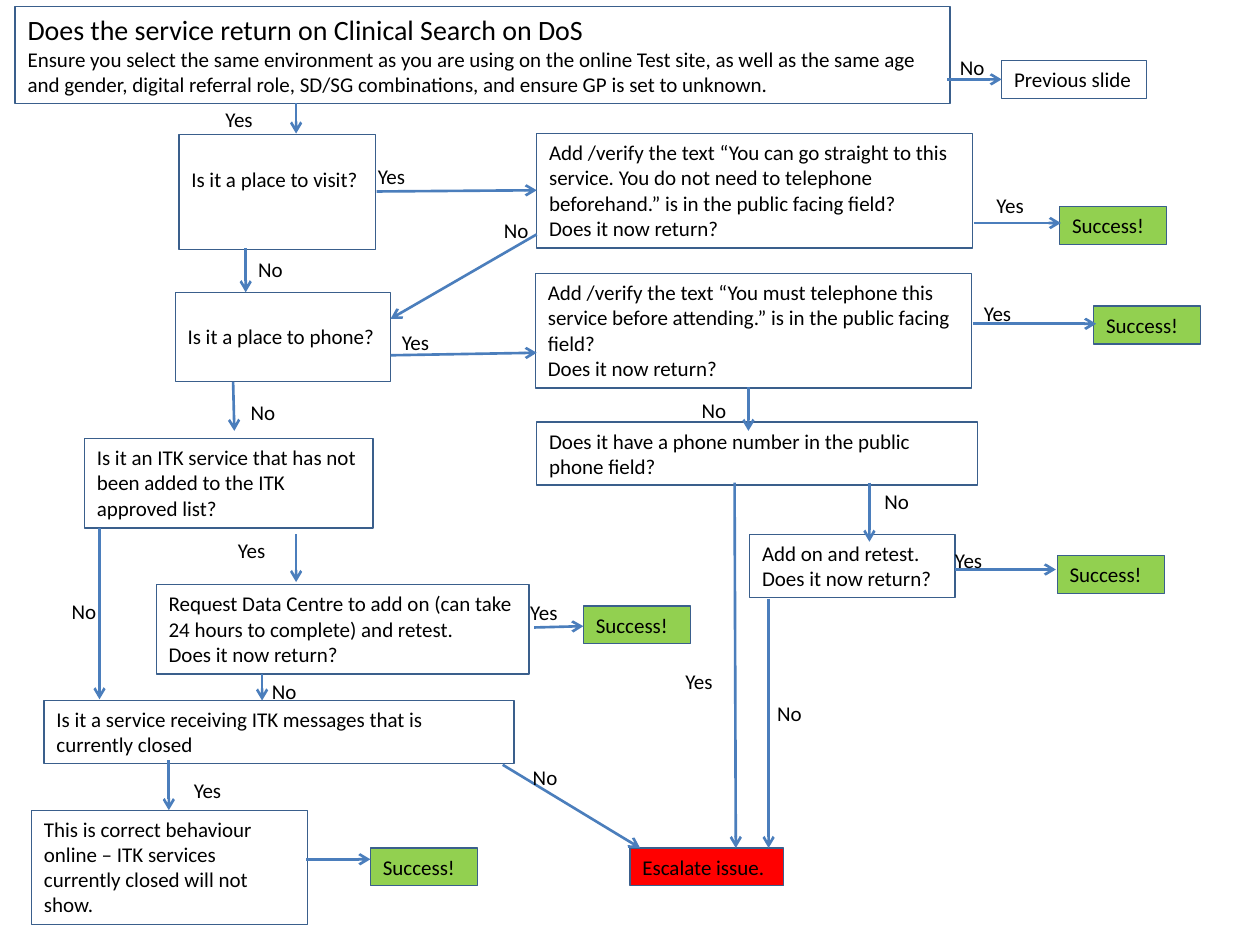
from lxml import etree
from pptx import Presentation
from pptx import util as u
from pptx.dml.color import RGBColor
from pptx.enum import shapes, text
from pptx.oxml.ns import qn

CM_PER_UNIT = 2.54
PAD, LINE = 0.1, 0.2
BORDER, ARROW, BLACK, GREEN, RED = '3A5F8C', '4B7EBC', '000000', '92D050', 'FF0000'
RETURN = 'Does it now return?'

TITLE = ['Does the service return on Clinical Search on DoS',
         'Ensure you select the same environment as you are using on the online Test site, '
         'as well as the same age and gender, digital referral role, SD/SG combinations, '
         'and ensure GP is set to unknown.']
QUESTIONS = [
    (0.12, 0.05, 7.42, 0.77, TITLE),
    (7.95, 0.48, 1.15, 0.3, ['Previous slide']),
    (4.26, 1.06, 3.46, 0.91, ['Add /verify the text “You can go straight to this service. You do not need '
                              'to telephone beforehand.” is in the public facing field?', RETURN]),
    (4.25, 2.17, 3.46, 0.91, ['Add /verify the text “You must telephone this service before attending.” '
                              'is in the public facing field?', RETURN]),
    (4.26, 3.35, 3.5, 0.5, ['Does it have a phone number in the public phone field?']),
    (5.95, 4.24, 1.63, 0.5, ['Add on and retest.', RETURN]),
    (0.67, 3.48, 2.29, 0.71, ['Is it an ITK service that has not been added to the ITK approved list?']),
    (1.24, 4.64, 2.96, 0.71, ['Request Data Centre to add on (can take 24 hours to complete) and retest.', RETURN]),
    (0.35, 5.56, 3.73, 0.5, ['Is it a service receiving ITK messages that is currently closed']),
    (0.25, 6.43, 2.19, 0.91, ['This is correct behaviour online – ITK services currently closed will not show.']),
]
PLACES = [
    (1.42, 1.07, 1.56, 0.91, ['Is it a place to visit?']),
    (1.39, 2.32, 1.71, 0.71, ['Is it a place to phone?']),
]
SUCCESSES = [(8.41, 1.64), (8.68, 2.43), (8.39, 4.41), (4.63, 4.81), (2.94, 6.73)]
ESCALATE = (5, 6.73, 1.22, 0.3, ['Escalate issue.'])
ARROWS = [
    (7.52, 0.63, 7.95, 0.63), (2.35, 0.82, 2.35, 1.06), (2.99, 1.52, 4.26, 1.51),
    (7.73, 1.77, 8.42, 1.77), (4.26, 1.86, 3.1, 2.53), (1.95, 1.97, 1.95, 2.32),
    (7.72, 2.57, 8.7, 2.57), (3.1, 2.82, 4.26, 2.8), (1.85, 3.03, 1.86, 3.42),
    (5.94, 3.07, 5.94, 3.42), (6.9, 3.83, 6.9, 4.3), (5.83, 3.83, 5.84, 6.73),
    (7.58, 4.52, 8.38, 4.52), (6.1, 4.75, 6.1, 6.73), (0.79, 4.19, 0.79, 5.55),
    (2.35, 4.24, 2.35, 4.62), (4.24, 4.98, 4.63, 4.97), (2.08, 5.35, 2.08, 5.56),
    (1.34, 6.03, 1.34, 6.43), (3.99, 6.07, 5.08, 6.73), (2.43, 6.82, 2.94, 6.82),
]
LABELS = {
    'Yes': (0.42, [(1.69, 0.8), (2.9, 1.25), (7.81, 1.48), (7.71, 2.34), (3.09, 2.57), (7.48, 4.3),
                   (1.79, 4.22), (4.11, 4.71), (5.34, 5.26), (1.44, 6.12)]),
    'No': (0.4, [(7.52, 0.38), (3.9, 1.68), (1.95, 1.99), (1.89, 3.12), (5.47, 3.11), (6.92, 3.83),
                 (0.47, 4.7), (2.06, 5.34), (6.07, 5.51), (4.13, 6.02)]),
}


def cm(*values):
    return [u.Cm(v * CM_PER_UNIT) for v in values]


def rgb(value):
    return RGBColor.from_string(value)


def apply(target, formats):
    for name, value in formats.items():
        setattr(target, name, value)


def write(sp, lines, sizes=(12,), **frame):
    tf = sp.text_frame
    apply(tf, {'word_wrap': True, 'vertical_anchor': text.MSO_ANCHOR.TOP,
               'auto_size': text.MSO_AUTO_SIZE.SHAPE_TO_FIT_TEXT, **frame})
    for i, line in enumerate(lines):
        p = tf.paragraphs[0] if i == 0 else tf.add_paragraph()
        p.alignment = text.PP_ALIGN.LEFT
        r = p.add_run()
        r.text = line
        apply(r.font, {'name': 'Calibri', 'size': u.Pt(sizes[i % len(sizes)])})
        r.font.color.rgb = rgb(BLACK)


def add_box(s, x, y, w, h, lines, fill=None, **options):
    sp = s.shapes.add_shape(shapes.MSO_SHAPE.RECTANGLE, *cm(x, y, w, h))
    sp.shadow.inherit = False
    if fill:
        sp.fill.solid()
        sp.fill.fore_color.rgb = rgb(fill)
    else:
        sp.fill.background()
    sp.line.color.rgb = rgb(BORDER)
    sp.line.width = u.Pt(0.75)
    write(sp, lines, **options)


def add_arrow(s, *ends):
    cxn = s.shapes.add_connector(shapes.MSO_CONNECTOR.STRAIGHT, *cm(*ends))
    cxn.line.color.rgb = rgb(ARROW)
    cxn.line.width = u.Pt(1.5)
    etree.SubElement(cxn.line._get_or_add_ln(), qn('a:tailEnd'), type='arrow')
    etree.SubElement(cxn._element.spPr, qn('a:effectLst'))


prs = Presentation()
prs.slide_width, prs.slide_height = cm(10, 7.5)
s = prs.slides.add_slide(prs.slide_layouts[6])

for box in QUESTIONS:
    add_box(s, *box, sizes=(16, 12) if box[4] is TITLE else (12,))
for box in PLACES:
    add_box(s, *box, margin_top=cm(PAD / 2 + LINE)[0],
            auto_size=text.MSO_AUTO_SIZE.NONE)
for x, y in SUCCESSES:
    add_box(s, x, y, 0.85, 0.3, ['Success!'], GREEN)
add_box(s, *ESCALATE, RED)

for ends in ARROWS:
    add_arrow(s, *ends)
for word, (width, spots) in LABELS.items():
    for x, y in spots:
        write(s.shapes.add_textbox(*cm(x, y, width, 0.3)), [word], word_wrap=False)

prs.save("out.pptx")
